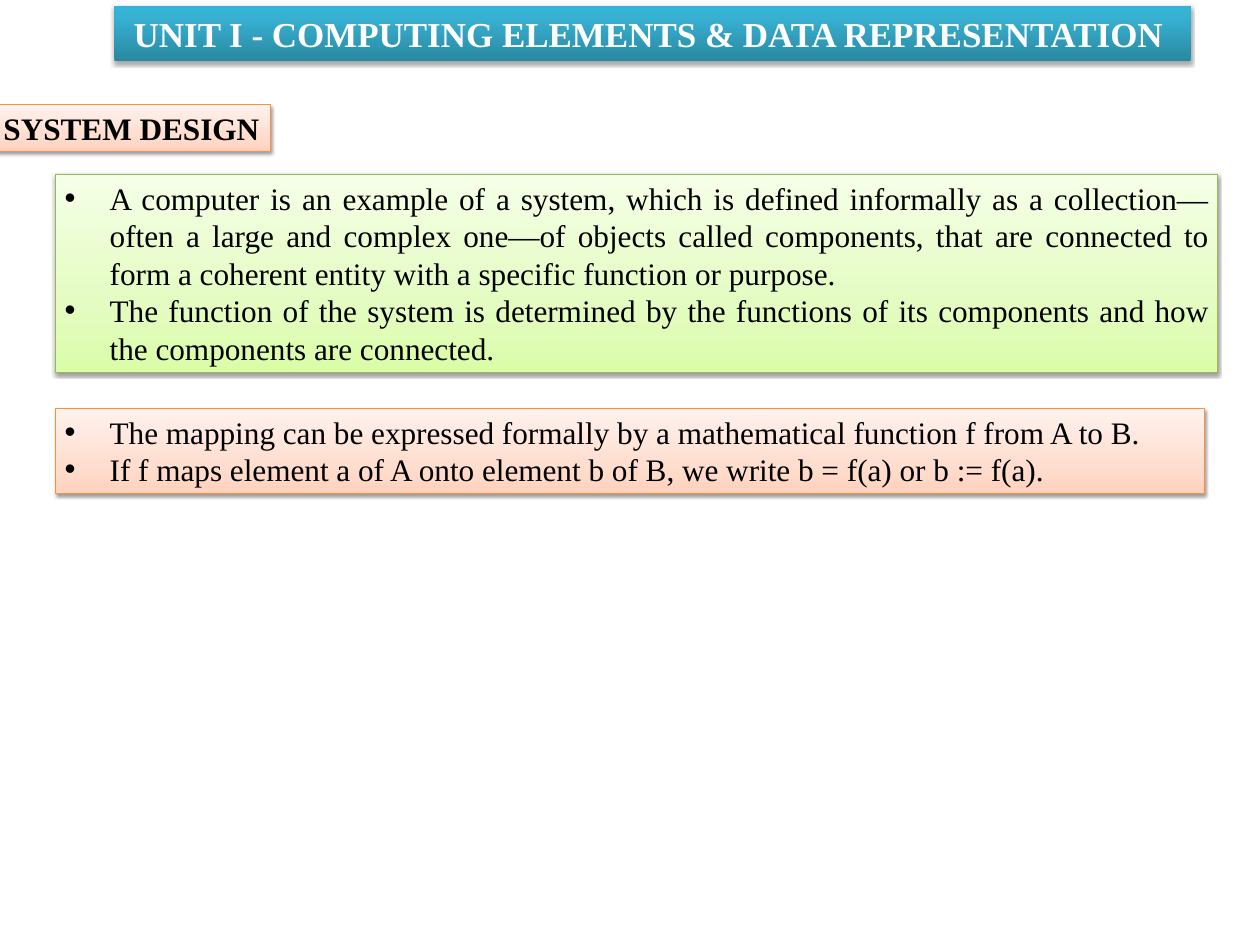
"""Build a unit slide on system design with a title, a heading and two bullet panels."""
import dataclasses

import lxml.etree
import pptx
import pptx.dml.color
import pptx.enum.text
import pptx.oxml.ns
import pptx.util

Inches = pptx.util.Inches
Pt = pptx.util.Pt
RGB = pptx.dml.color.RGBColor.from_string
ALIGN = pptx.enum.text.PP_ALIGN
qn = pptx.oxml.ns.qn


@dataclasses.dataclass(frozen=True)
class Panel:
    stops: tuple
    line: str = ""
    shadow_alpha: int = 38
    shadow_distance: float = 1.6


@dataclasses.dataclass(frozen=True)
class Theme:
    font: str = "Times New Roman"
    title_size: int = 28
    body_size: int = 25
    title_color: str = "FFFFFF"
    body_color: str = "000000"
    shadow_color: str = "000000"
    shadow_blur: float = 3.1
    hang: float = 0.5
    teal: Panel = Panel(((0, "2A88A2"), (80, "37B1D2"), (100, "34B4D6")), "", 35, 1.8)
    orange: Panel = Panel(((0, "FFD2BD"), (35, "FFDED0"), (100, "FFF2ED")), "F69240")
    green: Panel = Panel(((0, "DAFDA7"), (35, "E4FCC2"), (100, "F5FFE7")), "98B955")


def add_xml(parent, tag, **attrs):
    el = lxml.etree.SubElement(parent, qn(tag))
    for name, value in attrs.items():
        el.set(name, str(value))
    return el


class SlideBuilder:
    def __init__(self, slide, theme):
        self.slide = slide
        self.theme = theme

    def panel(self, box, style, wrap=True):
        sp = self.slide.shapes.add_textbox(*map(Inches, box))
        sp.fill.gradient()
        sp.fill.gradient_angle = 90
        gs_lst = sp._element.spPr.find(qn("a:gradFill")).find(qn("a:gsLst"))
        for gs in list(gs_lst):
            gs_lst.remove(gs)
        for pos, color in style.stops:
            gs = add_xml(gs_lst, "a:gs", pos=pos * 1000)
            add_xml(gs, "a:srgbClr", val=color)
        if style.line:
            sp.line.color.rgb = RGB(style.line)
            sp.line.width = Pt(0.75)
        else:
            sp.line.fill.background()
        self.shadow(sp, style)
        tf = sp.text_frame
        tf.word_wrap = wrap
        tf.auto_size = pptx.enum.text.MSO_AUTO_SIZE.SHAPE_TO_FIT_TEXT
        return tf

    def shadow(self, sp, style):
        sp.shadow.inherit = False
        effects = sp._element.spPr.find(qn("a:effectLst"))
        shadow = add_xml(
            effects, "a:outerShdw", blurRad=Pt(self.theme.shadow_blur),
            dist=Pt(style.shadow_distance), dir=90 * 60000, rotWithShape=0)
        color = add_xml(shadow, "a:srgbClr", val=self.theme.shadow_color)
        add_xml(color, "a:alpha", val=style.shadow_alpha * 1000)

    def run(self, p, text, size, color, bold=False):
        r = p.add_run()
        r.text = text
        r.font.name = self.theme.font
        r.font.size = Pt(size)
        r.font.bold = bold
        r.font.color.rgb = RGB(color)

    def hanging(self, p):
        p.alignment = ALIGN.JUSTIFY
        p_pr = p._p.get_or_add_pPr()
        p_pr.set("marL", str(Inches(self.theme.hang)))
        p_pr.set("indent", str(-Inches(self.theme.hang)))
        return p_pr

    def title(self, box, text):
        tf = self.panel(box, self.theme.teal, wrap=False)
        tf.margin_left = tf.margin_right = Inches(0.14)
        tf.margin_top = tf.margin_bottom = Inches(0.07)
        p = tf.paragraphs[0]
        p.alignment = ALIGN.CENTER
        self.run(p, text, self.theme.title_size, self.theme.title_color, True)

    def heading(self, box, text):
        p = self.panel(box, self.theme.orange, wrap=False).paragraphs[0]
        self.hanging(p)
        self.run(p, text, self.theme.body_size, self.theme.body_color, True)

    def bullets(self, box, style, items):
        tf = self.panel(box, style)
        for i, text in enumerate(items):
            p = tf.add_paragraph() if i else tf.paragraphs[0]
            p_pr = self.hanging(p)
            add_xml(p_pr, "a:buFont", typeface="Arial")
            add_xml(p_pr, "a:buChar", char="•")
            self.run(p, text, self.theme.body_size, self.theme.body_color)


def main():
    prs = pptx.Presentation()
    prs.slide_width = Inches(14)
    prs.slide_height = Inches(10.5)
    theme = Theme()
    s = SlideBuilder(prs.slides.add_slide(prs.slide_layouts[6]), theme)
    s.title((1.27, 0.07, 11.96, 0.61), "UNIT I - COMPUTING ELEMENTS & DATA REPRESENTATION ")
    s.heading((-0.06, 1.16, 3.07, 0.52), "SYSTEM DESIGN")
    s.bullets((0.62, 1.94, 12.91, 2.2), theme.green, (
        "A computer is an example of a system, which is defined informally as a collection— "
        "often a large and complex one—of objects called components, that are connected to "
        "form a coherent entity with a specific function or purpose. ",
        "The function of the system is determined by the functions of its components and how "
        "the components are connected.",
    ))
    s.bullets((0.62, 4.54, 12.76, 0.94), theme.orange, (
        "The mapping can be expressed formally by a mathematical function f from A to B. ",
        "If f maps element a of A onto element b of B, we write b = f(a) or b := f(a).",
    ))
    prs.save("out.pptx")


if __name__ == "__main__":
    main()
